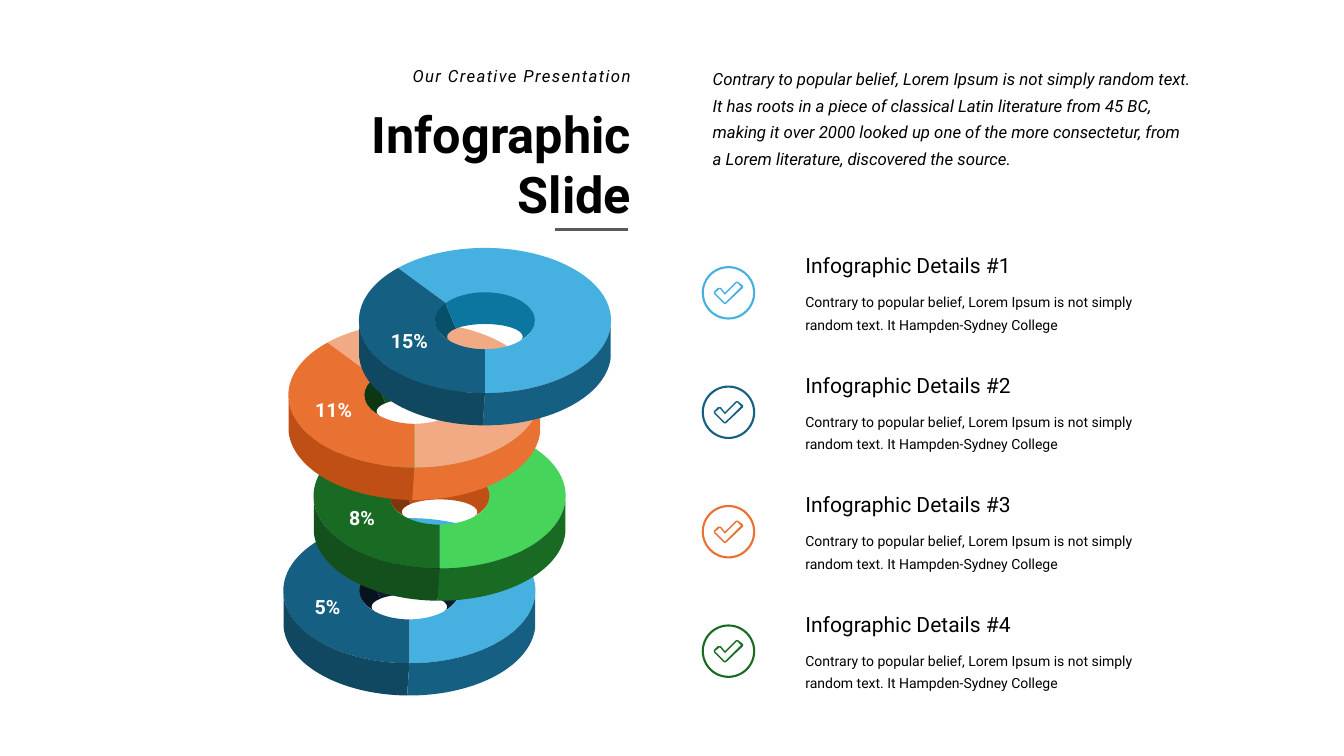
from math import cos, radians, sin, tan

from lxml import etree
from pptx import Presentation
from pptx.dml.color import RGBColor
from pptx.enum.shapes import MSO_CONNECTOR, MSO_SHAPE
from pptx.enum.text import MSO_ANCHOR, MSO_AUTO_SIZE, PP_ALIGN
from pptx.oxml.ns import qn
from pptx.util import Inches, Pt

FONT = "Roboto"
COLORS = {
    "black": "000000", "white": "FFFFFF", "gray": "595959",
    "sky": "46B1E1", "blue": "156082", "navy": "104862",
    "lime": "47D45A", "green": "196B24", "forest": "13501B", "pine": "0D3612",
    "peach": "F2AA84", "orange": "E97132", "rust": "C04F15", "brown": "80350E",
    "teal": "0B76A0", "deep teal": "084F6A", "ink": "0B1E31", "deep ink": "071420",
}
INTRO = (
    "Contrary to popular belief, Lorem Ipsum is not simply random text. "
    "It has roots in a piece of classical Latin literature from 45 BC, "
    "making it over 2000 looked up one of the more consectetur, "
    "from a Lorem literature, discovered the source."
)
DETAIL = (
    "Contrary to popular belief, Lorem Ipsum is not simply random text. "
    "It Hampden-Sydney College"
)
# Centre, then colours: light face, dark face, dark hole, light hole, left rim, right rim
RINGS = [
    (4.06, 5.86, ["sky", "blue", "deep ink", "ink", "navy", "blue"]),
    (4.36, 4.92, ["lime", "green", "brown", "rust", "forest", "green"]),
    (4.11, 3.92, ["peach", "orange", "pine", "forest", "rust", "orange"]),
    (4.81, 3.18, ["sky", "blue", "deep teal", "teal", "navy", "blue"]),
]
RING_LABELS = [("15%", 3.74, 3.21), ("11%", 2.99, 3.9), ("8%", 3.27, 4.97), ("5%", 2.93, 5.85)]
DETAIL_COLORS = ["sky", "blue", "orange", "green"]
DETAIL_STEP = 1.185
CHECK_OUTER = [
    (0.29, 0.05), (0.24, 0.01), (0.22, 0.01), (0.11, 0.12), (0.07, 0.07),
    (0.04, 0.07), (0, 0.11), (0, 0.13), (0.1, 0.23), (0.12, 0.23), (0.29, 0.07),
]
CHECK_INNER = [
    (0.11, 0.22), (0.01, 0.12), (0.06, 0.08), (0.11, 0.14), (0.23, 0.02), (0.27, 0.06),
]


def rgb(name):
    return RGBColor.from_string(COLORS[name])


def place(shape, left, top, width, height):
    shape.left, shape.top = Inches(left), Inches(top)
    shape.width, shape.height = Inches(width), Inches(height)


def write_text(shape, text, size, color="black", bold=False, italic=False,
               align=PP_ALIGN.LEFT, line_spacing=None, tracking=None):
    frame = shape.text_frame
    frame.word_wrap = True
    frame.auto_size = MSO_AUTO_SIZE.NONE
    frame.vertical_anchor = MSO_ANCHOR.TOP
    paragraph = frame.paragraphs[0]
    paragraph.alignment = align
    paragraph.space_before = Pt(0)
    if line_spacing:
        paragraph.line_spacing = Pt(line_spacing)
    run = paragraph.add_run()
    run.text = text
    run.font.name, run.font.size = FONT, Pt(size)
    run.font.bold, run.font.italic = bold, italic
    run.font.color.rgb = rgb(color)
    if tracking:
        run._r.get_or_add_rPr().set("spc", str(tracking * 100))


def add_text(slide, box, text, size, **text_format):
    shape = slide.shapes.add_textbox(*map(Inches, box))
    write_text(shape, text, size, **text_format)


def add_outline(shapes, contours, color):
    """Draw closed contours, given in inches, as one filled freeform."""
    contours = [[(Inches(x), Inches(y)) for x, y in contour] for contour in contours]
    builder = shapes.build_freeform(*contours[0][0], scale=1.0)
    for index, contour in enumerate(contours):
        if index:
            builder.move_to(*contour[0])
        builder.add_line_segments(contour[1:], close=True)
    shape = builder.convert_to_shape()
    shape.shadow.inherit = False
    shape.fill.solid()
    shape.fill.fore_color.rgb = rgb(color)
    shape.line.fill.background()
    return shape


def arc(center_x, center_y, radius_x, radius_y, start, end):
    """Return a start point, then Bézier triples split at each quarter turn.

    Angles run clockwise from the right.
    """
    low, high = sorted((start, end))
    stops = [low, *(a for a in range(0, 450, 90) if low < a < high), high]
    if start > end:
        stops.reverse()

    def point(angle, pull=0):
        a = radians(angle)
        return (center_x + radius_x * (cos(a) - pull * sin(a)),
                center_y + radius_y * (sin(a) + pull * cos(a)))

    points = [point(start)]
    for first, last in zip(stops, stops[1:]):
        pull = 4 / 3 * tan(radians(last - first) / 4)
        points += [point(first, pull), point(last, -pull), point(last)]
    return points


def add_curved_outline(shapes, arcs, color):
    """Draw arcs joined by straight lines, turning their triples into curves."""
    shape = add_outline(shapes, [sum(arcs, [])], color)
    segments = iter(list(shape._element.iter(qn("a:lnTo"))))
    for index, points in enumerate(arcs):
        if index:
            next(segments)
        for _ in range(len(points) // 3):
            triple = [next(segments) for _ in range(3)]
            curve = etree.Element(qn("a:cubicBezTo"))
            triple[0].addprevious(curve)
            for segment in triple:
                curve.append(segment[0])
                segment.getparent().remove(segment)


def add_ring(slide, x, y, colors):
    def rim(start, end):
        return arc(x, y, 1.25, 0.72, start, end)

    def hole(start, end):
        return arc(x, y + 0.01, 0.49, 0.275, start, end)

    def wall(start, end):
        return arc(x, y, 0.495, 0.28, start, end)

    def floor(start, end):
        return arc(x, y + 0.16, 0.375, 0.125, start, end)

    def base(start, end):
        return arc(x, y + 0.32, 1.25, 0.72, start, end)

    outlines = [
        [rim(226.4, 450), hole(450, 219.6)],
        [rim(90, 226.4), hole(219.6, 90)],
        [wall(136, 217.6), floor(220, 160)],
        [wall(217.6, 404), floor(380, 220)],
        [rim(176, 90), base(91, 176)],
        [rim(90, 4), base(4, 91)],
    ]
    group = slide.shapes.add_group_shape()
    for arcs, color in zip(outlines, colors):
        add_curved_outline(group.shapes, arcs, color)


def add_check_icon(slide, left, top, color):
    group = slide.shapes.add_group_shape()
    contours = [
        [(left + 0.11 + x, top + 0.135 + y) for x, y in contour]
        for contour in (CHECK_OUTER, CHECK_INNER)
    ]
    add_outline(group.shapes, contours, color)
    circle = group.shapes.add_shape(MSO_SHAPE.OVAL, *map(Inches, (left, top, 0.51, 0.51)))
    circle.shadow.inherit = False
    circle.fill.background()
    circle.line.color.rgb = rgb(color)
    circle.line.width = Pt(1.5)


def add_detail(slide, index, color):
    top = 2.46 + index * DETAIL_STEP
    add_check_icon(slide, 6.97, top + 0.19, color)
    add_text(slide, (7.89, top, 2.78, 0.35), f"Infographic Details #{index + 1}", 15)
    add_text(slide, (7.89, top + 0.35, 3.94, 0.53), DETAIL, 10, line_spacing=16)


def add_rule(slide, left, right, y):
    rule = slide.shapes.add_connector(
        MSO_CONNECTOR.STRAIGHT, Inches(left), Inches(y), Inches(right), Inches(y))
    rule.line.color.rgb = rgb("gray")
    rule.line.width = Pt(2)
    etree.SubElement(rule._element.spPr, qn("a:effectLst"))


def add_heading(slide):
    title, subtitle = slide.placeholders
    place(title, 3.02, 0.97, 3.34, 1.31)
    write_text(title, "Infographic Slide", 36, bold=True, align=PP_ALIGN.RIGHT)
    place(subtitle, 3.37, 0.6, 2.99, 0.3)
    write_text(subtitle, "Our Creative Presentation", 12, italic=True,
               align=PP_ALIGN.RIGHT, tracking=1)
    add_rule(slide, 5.5, 6.23, 2.28)


def main():
    presentation = Presentation()
    presentation.slide_width, presentation.slide_height = Inches(13.33), Inches(7.5)
    slide = presentation.slides.add_slide(presentation.slide_layouts[0])
    add_heading(slide)
    add_text(slide, (6.97, 0.57, 4.95, 1.14), INTRO, 12, italic=True, line_spacing=19)
    for x, y, colors in RINGS:
        add_ring(slide, x, y, colors)
    for label, left, top in RING_LABELS:
        add_text(slide, (left, top, 0.64, 0.34), label, 14,
                 color="white", bold=True, align=PP_ALIGN.CENTER)
    for index, color in enumerate(DETAIL_COLORS):
        add_detail(slide, index, color)
    presentation.save("out.pptx")


if __name__ == "__main__":
    main()
